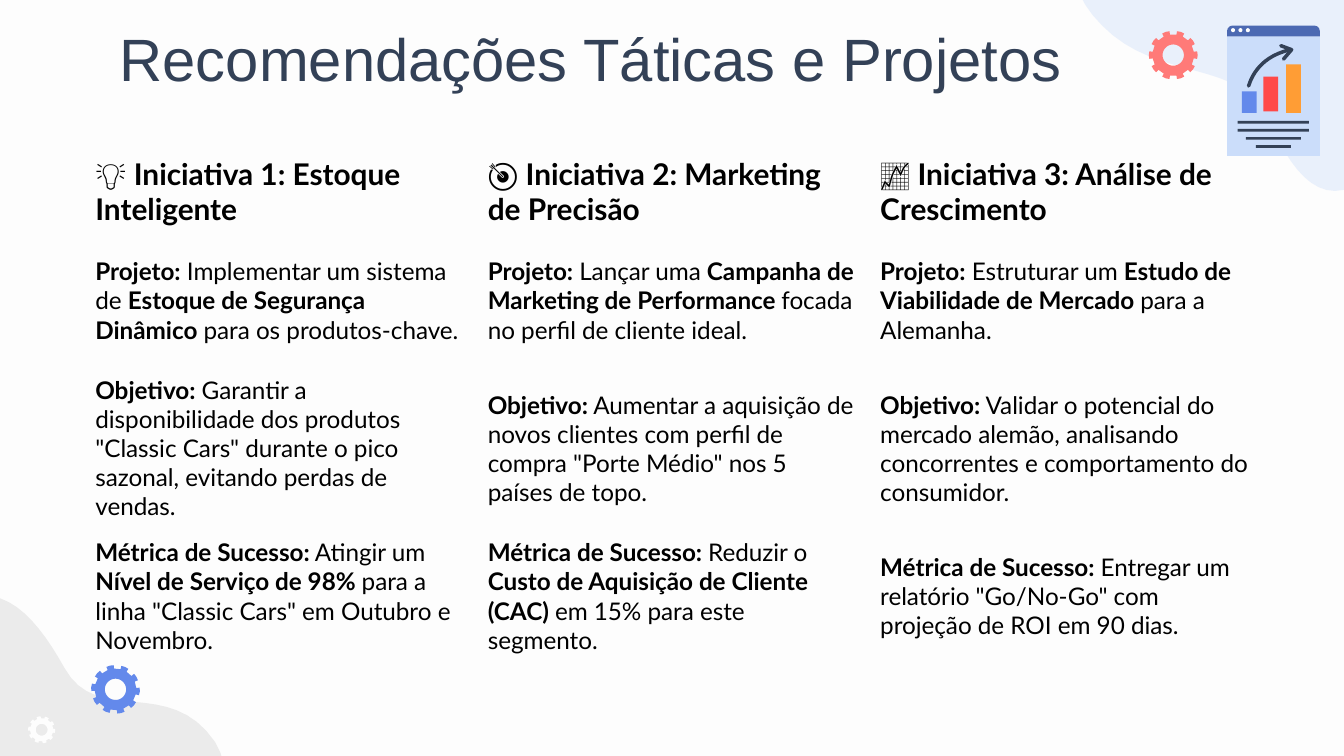
from math import cos, sin, radians
from lxml import etree
from pptx import Presentation
from pptx.dml.color import RGBColor as RGB
from pptx.enum.shapes import MSO_SHAPE as Kind
from pptx.enum.text import MSO_ANCHOR as Anchor, PP_ALIGN as Align
from pptx.oxml.ns import qn
from pptx.util import Inches, Pt

# Content: ** marks bold text
TITLE = "Recomendações Táticas e Projetos"
HEADS = [
    "💡 **Iniciativa 1: Estoque Inteligente**",
    "🎯 **Iniciativa 2: Marketing de Precisão**",
    "📈 **Iniciativa 3: Análise de Crescimento**",
]
BODY = {
    "Projeto": [
        "Implementar um sistema de **Estoque de Segurança Dinâmico** para os produtos-chave.",
        "Lançar uma **Campanha de Marketing de Performance** focada no perfil de cliente ideal.",
        "Estruturar um **Estudo de Viabilidade de Mercado** para a Alemanha.",
    ],
    "Objetivo": [
        'Garantir a disponibilidade dos produtos "Classic Cars" durante o pico sazonal, evitando perdas de vendas.',
        'Aumentar a aquisição de novos clientes com perfil de compra "Porte Médio" nos 5 países de topo.',
        "Validar o potencial do mercado alemão, analisando concorrentes e comportamento do consumidor.",
    ],
    "Métrica de Sucesso": [
        'Atingir um **Nível de Serviço de 98%** para a linha "Classic Cars" em Outubro e Novembro.',
        "Reduzir o **Custo de Aquisição de Cliente (CAC)** em 15% para este segmento.",
        'Entregar um relatório "Go/No-Go" com projeção de ROI em 90 dias.',
    ],
}
HIGHS = [0.54, 0.99, 1.21, 0.99]
COLORS = {
    "paper": "FDFDFD", "sky": "CBDDFA", "gray": "EBEBEB", "navy": "4C69B2",
    "ink": "334157", "blue": "6389EB", "red": "FF4949", "orange": "FF9D35",
    "coral": "FF7A78", "black": "000000",
}

# Curves: start point, then control, control, end
SKY_BLOB = [(9.04, -1.93), [
    (9.05, -1.95, 9.07, -1.96, 9.11, -1.98), (9.58, -2.2, 10.14, -1.39, 10.54, -0.92),
    (10.78, -0.66, 10.76, -0.7, 11.2, -0.29), (11.55, 0.03, 11.5, 0.3, 11.34, 0.42),
    (11.3, 0.45, 11.24, 0.48, 11.19, 0.49), (10.94, 0.53, 10.83, 0.51, 10.38, 1.11),
    (9.92, 1.7, 9.64, 1.35, 9.44, 0.89), (9.24, 0.43, 8.62, 0.62, 8.2, 0.19),
    (7.78, -0.23, 8.1, -0.54, 8.53, -0.79), (8.95, -1.05, 8.55, -1.58, 9.04, -1.93)]]
GRAY_BLOB = [(1.6, 5.52), [
    (1.61, 5.54, 1.62, 5.56, 1.64, 5.6), (1.85, 6.08, 1.01, 6.6, 0.54, 6.99),
    (0.26, 7.22, 0.31, 7.21, -0.12, 7.63), (-0.45, 7.96, -0.72, 7.91, -0.83, 7.75),
    (-0.86, 7.7, -0.89, 7.64, -0.89, 7.59), (-0.93, 7.34, -0.91, 7.23, -1.48, 6.76),
    (-2.06, 6.28, -1.7, 6.02, -1.24, 5.83), (-0.77, 5.64, -0.93, 5.02, -0.5, 4.62),
    (-0.06, 4.21, 0.24, 4.54, 0.48, 4.97), (0.72, 5.41, 1.26, 5.02, 1.6, 5.52)]]
SWOOP = [(9.29, 0.64), [(9.3, 0.62, 9.34, 0.43, 9.6, 0.37)]]
TIP = [(9.53, 0.34), (9.61, 0.37), (9.55, 0.44)]

# Gears: centre x, y, outer radius, turn, colour
GEARS = [(8.73, 0.41, 0.18, 0, "coral"), (0.86, 5.13, 0.18, 5, "blue"),
         (0.31, 5.43, 0.1, 5, "paper")]
# Report icon: left, top, width, height, colour
BARS = [(9.24, 0.68, 0.11, 0.16, "blue"), (9.4, 0.57, 0.11, 0.26, "red"),
        (9.57, 0.48, 0.11, 0.36, "orange")]
RULES = [0.53, 0.53, 0.41, 0.26]

prs = Presentation()
prs.slide_width = Inches(10)
prs.slide_height = prs.slide_width * 9 // 16
slide = prs.slides.add_slide(prs.slide_layouts[5])
shapes = slide.shapes


def tint(fill, name):
    fill.solid()
    fill.fore_color.rgb = RGB.from_string(COLORS[name])


def plain(shape, name):
    shape.shadow.inherit = False
    tint(shape.fill, name)
    shape.line.fill.background()
    return shape


def block(x, y, w, h, name, kind=Kind.RECTANGLE):
    box = shapes.add_shape(kind, Inches(x), Inches(y), Inches(w), Inches(h))
    return plain(box, name)


def trace(start, curves, steps=16):
    points = [start]
    for ax, ay, bx, by, ex, ey in curves:
        sx, sy = points[-1]
        for i in range(1, steps + 1):
            t = i / steps
            u = 1 - t
            k = (u**3, 3 * u * u * t, 3 * u * t * t, t**3)
            points.append((sum(a * b for a, b in zip(k, (sx, ax, bx, ex))),
                           sum(a * b for a, b in zip(k, (sy, ay, by, ey)))))
    return points


def outline(*loops, close=True):
    loops = [[(Inches(x), Inches(y)) for x, y in loop] for loop in loops]
    pen = shapes.build_freeform(*loops[0][0])
    for i, loop in enumerate(loops):
        if i:
            pen.move_to(*loop[0])
        pen.add_line_segments(loop[1:], close=close)
    return pen.convert_to_shape()


def gear(x, y, r, turn, name, teeth=10):
    def spot(angle, size):
        a = radians(angle + turn)
        return x + r * size * cos(a), y + r * size * sin(a)

    rim = []
    for i in range(teeth):
        mid = i * 360 / teeth
        rim += [spot(mid + d, s) for d, s in
                ((-9, 0.86), (-9, 1), (0, 1.01), (9, 1), (9, 0.86))]
    hole = [spot(-a, 0.44) for a in range(0, 360, 10)]
    plain(outline(rim, hole), name)


def write(para, text, size, name, font):
    for i, part in enumerate(text.split("**")):
        if part:
            run = para.add_run()
            run.text = part
            run.font.size, run.font.name, run.font.bold = Pt(size), font, i % 2 == 1
            run.font.color.rgb = RGB.from_string(COLORS[name])


# Background and blobs
tint(slide.background.fill, "paper")
sky = plain(outline(trace(*SKY_BLOB)), "sky")
color = sky.fill._xPr.find(qn("a:solidFill"))[0]
etree.SubElement(color, qn("a:alpha"), val="39000")
plain(outline(trace(*GRAY_BLOB)), "gray")

# Report icon
block(9.13, 0.27, 0.69, 0.89, "sky")
bar = block(9.13, 0.19, 0.69, 0.08, "navy", Kind.ROUND_2_SAME_RECTANGLE)
bar.adjustments[0] = 0.5
for i in range(3):
    block(9.16 + i * 0.055, 0.21, 0.03, 0.03, "paper", Kind.OVAL)
for item in BARS:
    block(*item)
for i, wide in enumerate(RULES):
    block(9.475 - wide / 2, 0.9 + i * 0.06, wide, 0.02, "ink")
arrow = outline(trace(*SWOOP), TIP, close=False)
arrow.shadow.inherit = False
arrow.fill.background()
tint(arrow.line.fill, "ink")
arrow.line.width = Pt(1.9)
line = arrow.line._get_or_add_ln()
line.set("cap", "rnd")
etree.SubElement(line, qn("a:round"))

for item in GEARS:
    gear(*item)

# Title
title = shapes.title
title.left, title.top = Inches(0.79), Inches(0.06)
title.width, title.height = Inches(8.43), Inches(0.63)
frame = title.text_frame
frame.word_wrap = True
frame.vertical_anchor = Anchor.TOP
frame.margin_left = frame.margin_right = Inches(0.1)
frame.margin_top = frame.margin_bottom = Inches(0.1)
frame.paragraphs[0].alignment = Align.LEFT
write(frame.paragraphs[0], TITLE, 32, "ink", "Arial")

# Initiatives table
rows = [HEADS] + [[f"**{label}:** {text}" for text in texts] for label, texts in BODY.items()]
table = shapes.add_table(len(rows), len(HEADS), Inches(0.62), Inches(1.11),
                         Inches(8.76), Inches(sum(HIGHS))).table
table.first_row = table.horz_banding = False
for col in table.columns:
    col.width = Inches(2.92)
for r, texts in enumerate(rows):
    table.rows[r].height = Inches(HIGHS[r])
    for c, text in enumerate(texts):
        cell = table.cell(r, c)
        cell.fill.background()
        cell.vertical_anchor = Anchor.MIDDLE
        cell.margin_left = cell.margin_right = Inches(0.09)
        write(cell.text_frame.paragraphs[0], text, 13 if r else 16, "black", "Lato")
# Clear the style's grid lines
for cell in table.iter_cells():
    props = cell._tc.get_or_add_tcPr()
    for i, side in enumerate(("lnL", "lnR", "lnT", "lnB")):
        edge = etree.Element(qn(f"a:{side}"), w="0")
        etree.SubElement(edge, qn("a:noFill"))
        props.insert(i, edge)

prs.save("out.pptx")
